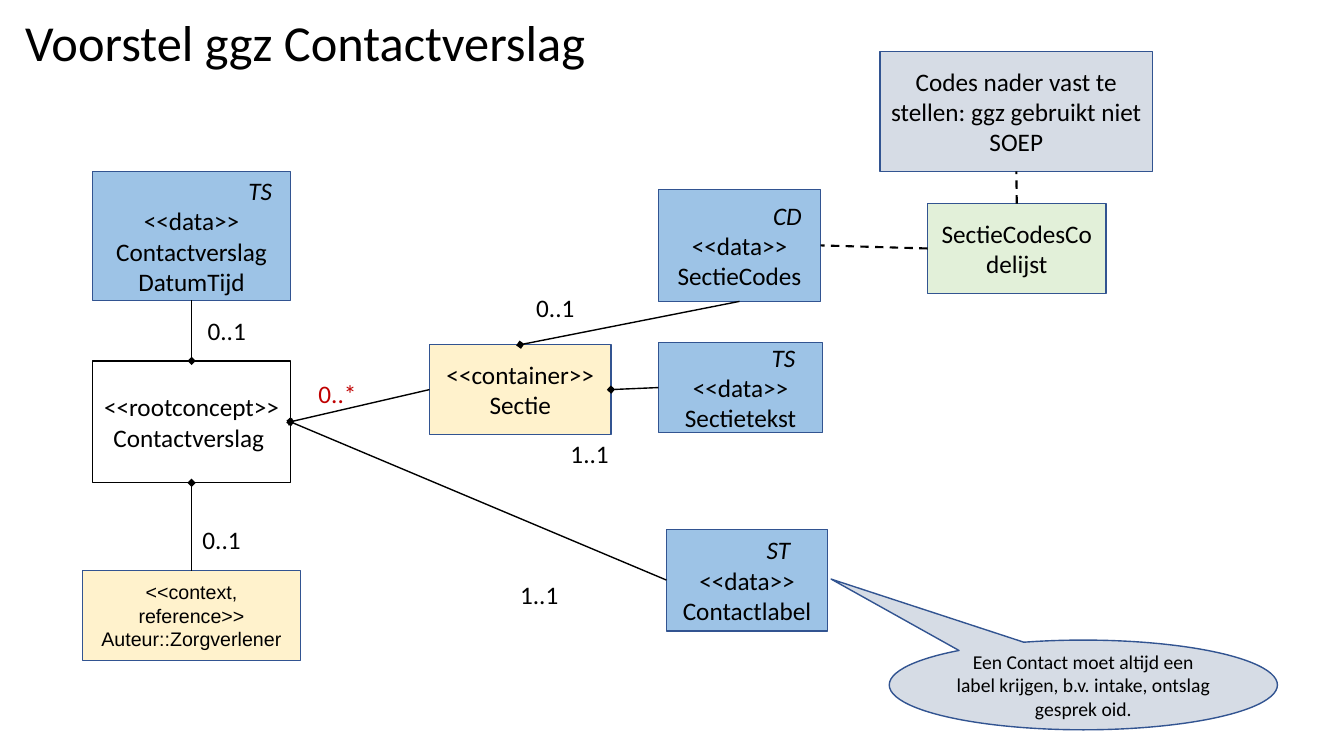
"""Build the slide with the proposed model of the ggz contact report."""
import pptx
import pptx.util
import pptx.dml.color
import pptx.enum.dml
import pptx.enum.shapes
import pptx.enum.text
import pptx.oxml.ns
import lxml.etree

EMU_PER_PX = 9144
RGB = pptx.dml.color.RGBColor
BLACK = RGB(0x00, 0x00, 0x00)
RED = RGB(0xC0, 0x00, 0x00)
OUTLINE = RGB(0x32, 0x54, 0x91)
BLUE = RGB(0x9D, 0xC3, 0xE6)
YELLOW = RGB(0xFF, 0xF2, 0xCC)
GREY = RGB(0xD6, 0xDC, 0xE5)
GREEN = RGB(0xE2, 0xF0, 0xD9)
TOP, LEFT, BOTTOM, RIGHT = range(4)
PRESET = pptx.enum.shapes.MSO_SHAPE
CENTER = pptx.enum.text.PP_ALIGN.CENTER
MIDDLE = pptx.enum.text.MSO_ANCHOR.MIDDLE


def px(length):
    """Turn px into EMU."""
    return pptx.util.Emu(length * EMU_PER_PX)


def set_text(frame, text, size=18, font="Calibri", color=BLACK, align=None):
    """Write the text and format all its runs."""
    frame.text = text
    for paragraph in frame.paragraphs:
        paragraph.alignment = align
        for run in paragraph.runs:
            run.font.size = pptx.util.Pt(size)
            run.font.name = font
            run.font.color.rgb = color


def add_box(slide, place, text, fill=None, line=OUTLINE, preset=PRESET.RECTANGLE,
            size=18, font="Calibri"):
    """Add an outlined shape with centred text."""
    box = slide.shapes.add_shape(preset, *map(px, place))
    box.shadow.inherit = False
    if fill is None:
        box.fill.background()
    else:
        box.fill.solid()
        box.fill.fore_color.rgb = fill
    box.line.color.rgb = line
    box.line.width = pptx.util.Pt(1)
    box.text_frame.word_wrap = True
    box.text_frame.vertical_anchor = MIDDLE
    set_text(box.text_frame, text, size, font, align=CENTER)
    return box


def add_data(slide, place, datatype, name, indent):
    """Add a data element with its italic datatype indented to the right."""
    box = add_box(slide, place, f"{datatype}\n<<data>>\n{name}", BLUE)
    heading = box.text_frame.paragraphs[0]
    heading.runs[0].font.italic = True
    properties = heading._p.get_or_add_pPr()
    properties.set("marL", str(px(indent)))
    properties.set("indent", "0")
    return box


def add_link(slide, start, start_side, end, end_side, dashed=False):
    """Join two boxes by a dashed line or a line ending in a diamond."""
    link = slide.shapes.add_connector(pptx.enum.shapes.MSO_CONNECTOR.STRAIGHT, 0, 0, 0, 0)
    link.begin_connect(start, start_side)
    link.end_connect(end, end_side)
    link.line.color.rgb = BLACK
    link.line.width = pptx.util.Pt(1.5 if dashed else 1)
    if dashed:
        link.line.dash_style = pptx.enum.dml.MSO_LINE.DASH
    else:
        outline = link.line._get_or_add_ln()
        lxml.etree.SubElement(outline, pptx.oxml.ns.qn("a:tailEnd"), type="diamond")
    lxml.etree.SubElement(link._element.spPr, pptx.oxml.ns.qn("a:effectLst"))


def add_cardinality(slide, left, top, text, color=BLACK):
    """Add a small label beside a link."""
    label = slide.shapes.add_textbox(*map(px, (left, top, 58, 40)))
    label.text_frame.word_wrap = False
    set_text(label.text_frame, text, color=color)


def add_title(slide, text):
    """Add the slide title."""
    title = slide.shapes.add_textbox(*map(px, (15, 6, 593, 77)))
    title.text_frame.word_wrap = True
    title.text_frame.vertical_anchor = MIDDLE
    set_text(title.text_frame, text, 36)
    title.text_frame.paragraphs[0].line_spacing = 0.9


def main():
    """Build and save the slide."""
    deck = pptx.Presentation()
    deck.slide_width, deck.slide_height = px(1333), px(750)
    slide = deck.slides.add_slide(deck.slide_layouts[6])
    add_title(slide, "Voorstel ggz Contactverslag")

    root = add_box(slide, (92, 358, 196, 121), "<<rootconcept>>Contactverslag ", line=BLACK)
    date_time = add_data(slide, (92, 170, 196, 128), "TS", "Contactverslag\nDatumTijd", 136)
    section_codes = add_data(slide, (653, 188, 161, 111), "CD", "SectieCodes", 95)
    section = add_box(slide, (426, 342, 180, 89), "<<container>>\nSectie", YELLOW)
    section_text = add_data(slide, (653, 340, 163, 89), "TS", "Sectietekst", 85)
    contact_label = add_data(slide, (661, 525, 160, 101), "ST", "Contactlabel", 62)
    codes_remark = add_box(slide, (873, 51, 270, 119),
                           "Codes nader vast te stellen: ggz gebruikt niet SOEP", GREY)
    author = add_box(slide, (82, 566, 216, 89), "<<context, reference>>\nAuteur::Zorgverlener",
                     YELLOW, size=14, font="Arial")
    code_list = add_box(slide, (920, 202, 177, 89), "SectieCodesCodelijst", GREEN)

    add_link(slide, date_time, BOTTOM, root, TOP)
    add_link(slide, author, TOP, root, BOTTOM)
    add_link(slide, section, LEFT, root, RIGHT)
    add_link(slide, section_text, LEFT, section, RIGHT)
    add_link(slide, section_codes, BOTTOM, section, TOP)
    add_link(slide, contact_label, LEFT, root, RIGHT)
    add_link(slide, code_list, LEFT, section_codes, RIGHT, dashed=True)
    add_link(slide, code_list, TOP, codes_remark, BOTTOM, dashed=True)

    add_cardinality(slide, 196, 308, "0..1")
    add_cardinality(slide, 191, 515, "0..1")
    add_cardinality(slide, 306, 370, "0..*", RED)
    add_cardinality(slide, 506, 570, "1..1")
    add_cardinality(slide, 556, 430, "1..1")
    add_cardinality(slide, 522, 285, "0..1")

    label_remark = add_box(
        slide, (882, 635, 385, 89),
        "Een Contact moet altijd een label krijgen, b.v. intake, ontslag gesprek oid.",
        GREY, preset=PRESET.OVAL_CALLOUT, size=14)
    label_remark.adjustments[0] = -0.65
    label_remark.adjustments[1] = -1.18
    deck.save("out.pptx")


if __name__ == "__main__":
    main()
